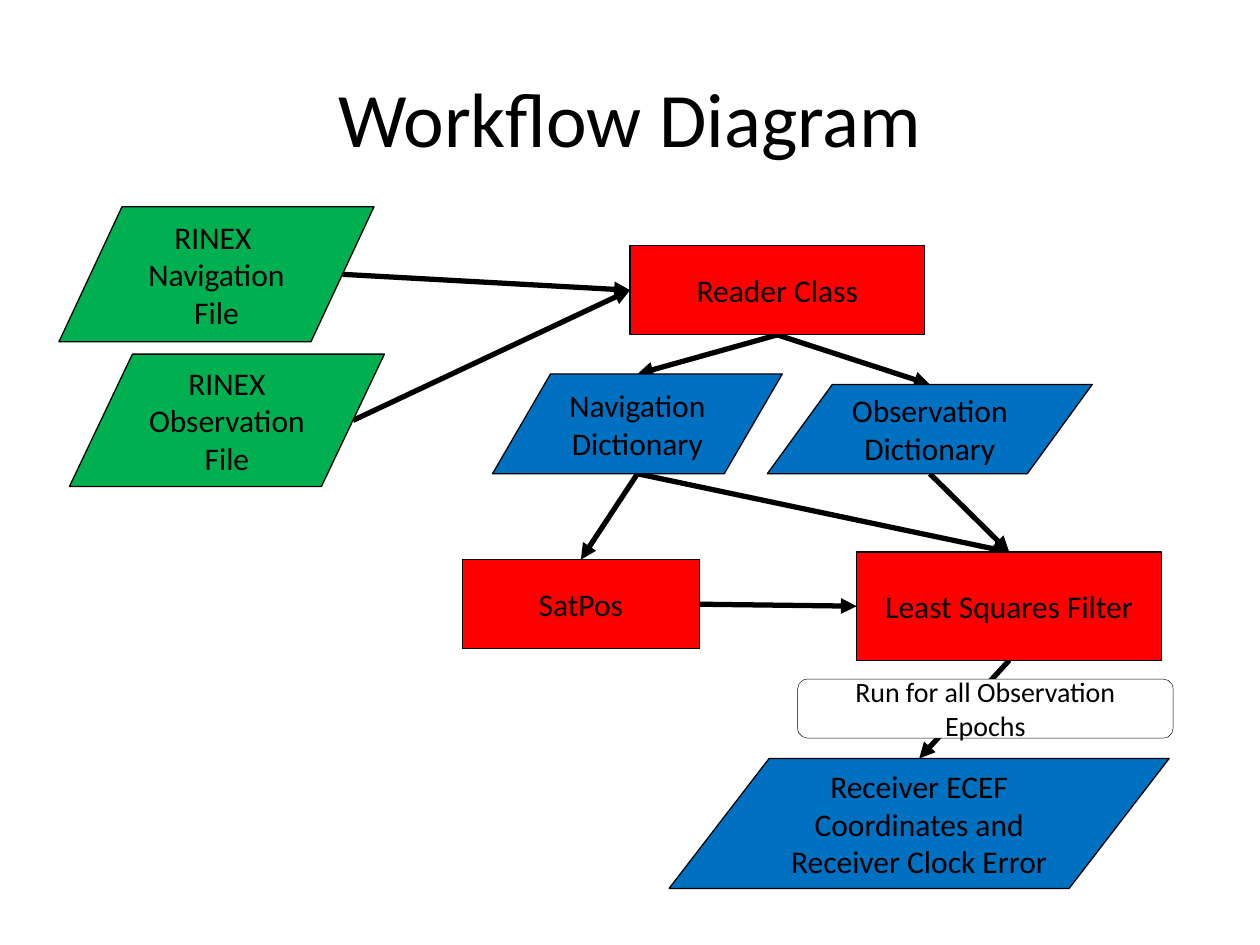
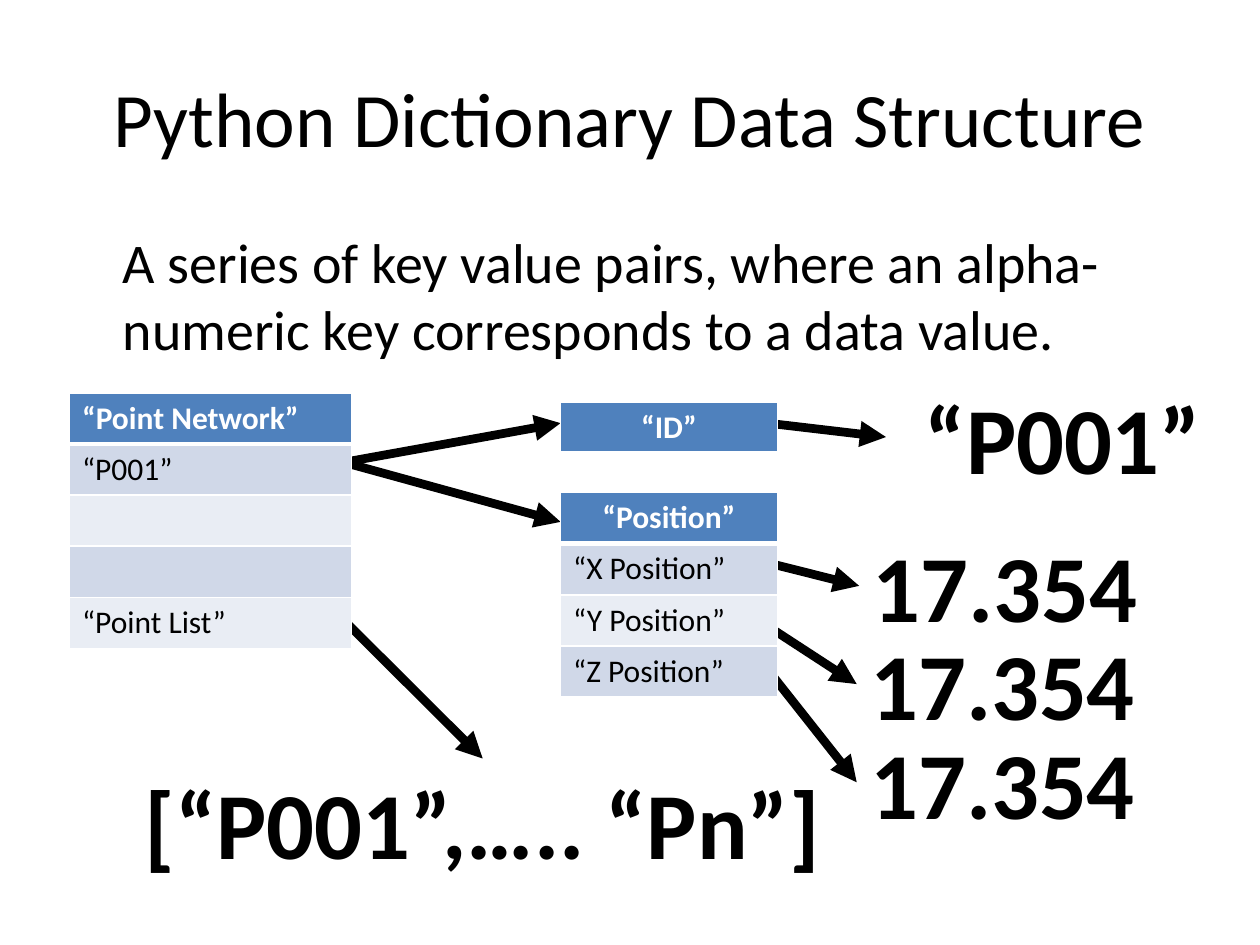
from pptx import Presentation
from pptx.dml.color import RGBColor as Rgb
from pptx.enum.shapes import MSO_CONNECTOR as Connector, MSO_SHAPE as Shape
from pptx.enum.text import MSO_ANCHOR as Anchor, MSO_AUTO_SIZE as AutoSize, PP_ALIGN as Align
from pptx.oxml import parse_xml
from pptx.oxml.ns import nsdecls
from pptx.util import Cm, Pt
from dataclasses import dataclass


@dataclass(frozen=True)
class Theme:
    font: str = "Calibri"
    black: str = "000000"
    white: str = "FFFFFF"
    file: str = "00B050"
    process: str = "FF0000"
    data: str = "0070C0"
    header: str = "4F81BD"
    bands: tuple = ("D0D8E8", "E9EDF4")
    title_size: int = 44
    body_size: int = 32
    value_size: int = 54
    label_size: int = 18
    note_size: int = 16


theme = Theme()


def write(frame, text, size, color=theme.black, bold=False, align=Align.CENTER):
    frame.text = text
    for para in frame.paragraphs:
        para.alignment = align
        for span in para.runs:
            span.font.color.rgb = Rgb.from_string(color)
            for name, value in {"name": theme.font, "size": Pt(size), "bold": bold}.items():
                setattr(span.font, name, value)


def add_arrow(page, start, end, weight):
    points = [Cm(length) for length in (*start, *end)]
    arrow = page.shapes.add_connector(Connector.STRAIGHT, *points)
    arrow.line.color.rgb = Rgb.from_string(theme.black)
    arrow.line.width = Pt(weight)
    arrow.line._get_or_add_ln().append(parse_xml(f'<a:tailEnd {nsdecls("a")} type="triangle"/>'))
    arrow._element.spPr.append(parse_xml(f'<a:effectLst {nsdecls("a")}/>'))


deck = Presentation()
deck.slide_width, deck.slide_height = Cm(25.4), Cm(19.05)
titles = [("Workflow Diagram", 5), ("Python Dictionary Data Structure", 1)]
pages = []
for title, layout in titles:
    page = deck.slides.add_slide(deck.slide_layouts[layout])
    write(page.shapes.title.text_frame, title, theme.title_size)
    pages.append(page)
workflow, structure = pages

slanted, block, rounded = Shape.FLOWCHART_DATA, Shape.FLOWCHART_PROCESS, Shape.ROUNDED_RECTANGLE
nodes = {
    "observation file": (slanted, theme.file, "RINEX Observation\nFile", 1.4, 7.14, 6.35, 2.67),
    "navigation file": (slanted, theme.file, "RINEX \nNavigation\nFile", 1.19, 4.17, 6.35, 2.72),
    "reader": (block, theme.process, "Reader Class", 12.7, 4.95, 5.94, 1.8),
    "observations": (slanted, theme.data, "Observation Dictionary", 15.47, 7.75, 6.55, 1.8),
    "navigation": (slanted, theme.data, "Navigation Dictionary", 9.93, 7.54, 5.84, 2.01),
    "filter": (block, theme.process, "Least Squares Filter", 17.27, 11.13, 6.15, 2.18),
    "satpos": (block, theme.process, "SatPos", 9.32, 11.28, 4.78, 1.8),
    "receiver": (slanted, theme.data, "Receiver ECEF Coordinates and Receiver Clock Error",
                 13.49, 15.29, 10.08, 2.62),
    "note": (rounded, theme.white, "Run for all Observation Epochs", 16.08, 13.69, 7.57, 1.19),
}
sides = {"top": (0.5, 0), "bottom": (0.5, 1), "left": (0, 0.5), "right": (1, 0.5),
         "slant": (0.9, 0.5)}
flows = [
    ("reader", "bottom", "observations", "top"),
    ("reader", "bottom", "navigation", "top"),
    ("navigation file", "slant", "reader", "left"),
    ("observation file", "slant", "reader", "left"),
    ("navigation", "bottom", "satpos", "top"),
    ("navigation", "bottom", "filter", "top"),
    ("observations", "bottom", "filter", "top"),
    ("satpos", "right", "filter", "left"),
    ("filter", "bottom", "receiver", "top"),
]
for source, exit_side, target, entry_side in flows:
    ends = []
    for node, side in ((source, exit_side), (target, entry_side)):
        left, top, width, height = nodes[node][3:]
        across, down = sides[side]
        ends.append((left + across * width, top + down * height))
    add_arrow(workflow, *ends, weight=3)

for name, (kind, fill, text, *place) in nodes.items():
    box = workflow.shapes.add_shape(kind, *[Cm(length) for length in place])
    box.shadow.inherit = False
    box.fill.solid()
    box.fill.fore_color.rgb = Rgb.from_string(fill)
    box.line.color.rgb = Rgb.from_string(theme.black)
    box.line.width = Pt(0.25 if kind == rounded else 0.75)
    box.text_frame.vertical_anchor = Anchor.MIDDLE
    write(box.text_frame, text, theme.note_size if kind == rounded else theme.label_size)

body = structure.placeholders[1]
for name, value in {"left": 1.27, "top": 4.45, "width": 22.86, "height": 3.1}.items():
    setattr(body, name, Cm(value))
write(body.text_frame,
      "A series of key value pairs, where an alpha-numeric key corresponds to a data value.",
      theme.body_size, align=Align.LEFT)
settings = body.text_frame.paragraphs[0]._p.get_or_add_pPr()
for name, value in {"marL": Cm(0.95), "indent": 0}.items():
    settings.set(name, str(value))
settings.append(parse_xml(f'<a:buNone {nsdecls("a")}/>'))

values = [
    ("“P001”", 17.86, 7.54, 7.14, True),
    ("17.354", 17.32, 10.52, 5.89, False),
    ("17.354", 17.27, 12.5, 5.89, False),
    ("17.354", 17.27, 14.5, 5.89, False),
    ("[“P001”,….. “Pn”]", 2.39, 15.29, 14.68, False),
]
for text, left, top, width, wrap in values:
    box = structure.shapes.add_textbox(Cm(left), Cm(top), Cm(width), Cm(2.57))
    for name, value in {"word_wrap": wrap, "auto_size": AutoSize.SHAPE_TO_FIT_TEXT}.items():
        setattr(box.text_frame, name, value)
    write(box.text_frame, text, theme.value_size, bold=True)
    outline = parse_xml(f'<a:ln {nsdecls("a")} w="{Pt(1)}"><a:solidFill>'
                        f'<a:srgbClr val="{theme.black}"/></a:solidFill></a:ln>')
    box.text_frame.paragraphs[0].runs[0].font._element.insert(0, outline)

network_right, fields_left, fields_right = 6.93, 11.3, 15.47
links = [
    ((network_right, 9.32), (fields_left, 8.53)),
    ((network_right, 12.5), (9.73, 15.29)),
    ((network_right, 9.32), (fields_left, 10.52)),
    ((fields_right, 8.53), (17.86, 8.81)),
    ((15.29, 11.3), (17.32, 11.81)),
    ((15.29, 12.5), (17.27, 13.79)),
    ((fields_right, 13.49), (17.27, 15.77)),
]
for start, end in links:
    add_arrow(structure, start, end, weight=5)

row_height = 1.03
tables = [
    (fields_left, 9.93, 4.37, Align.CENTER,
     ["“Position”", "“X Position”", "“Y Position”", "“Z Position”"]),
    (1.4, 7.92, 5.69, Align.LEFT, ["“Point Network”", "“P001”", "", "", "“Point List”"]),
    (fields_left, 8.1, 4.37, Align.CENTER, ["“ID”"]),
]
for left, top, width, header_align, entries in tables:
    frame = structure.shapes.add_table(len(entries), 1, Cm(left), Cm(top), Cm(width),
                                       Cm(row_height * len(entries)))
    for row, text in enumerate(entries):
        cell = frame.table.cell(row, 0)
        is_header = row == 0
        cell.fill.solid()
        cell.fill.fore_color.rgb = Rgb.from_string(
            theme.header if is_header else theme.bands[(row - 1) % 2])
        write(cell.text_frame, text, theme.label_size,
              theme.white if is_header else theme.black, is_header,
              header_align if is_header else Align.LEFT)
        weights = {"L": 1, "R": 1, "T": 3 if row == 1 else 1, "B": 3 if is_header else 1}
        for place, (edge, weight) in enumerate(weights.items()):
            border = parse_xml(f'<a:ln{edge} {nsdecls("a")} w="{Pt(weight)}"><a:solidFill>'
                               f'<a:srgbClr val="{theme.white}"/></a:solidFill></a:ln{edge}>')
            cell._tc.get_or_add_tcPr().insert(place, border)

deck.save("out.pptx")
